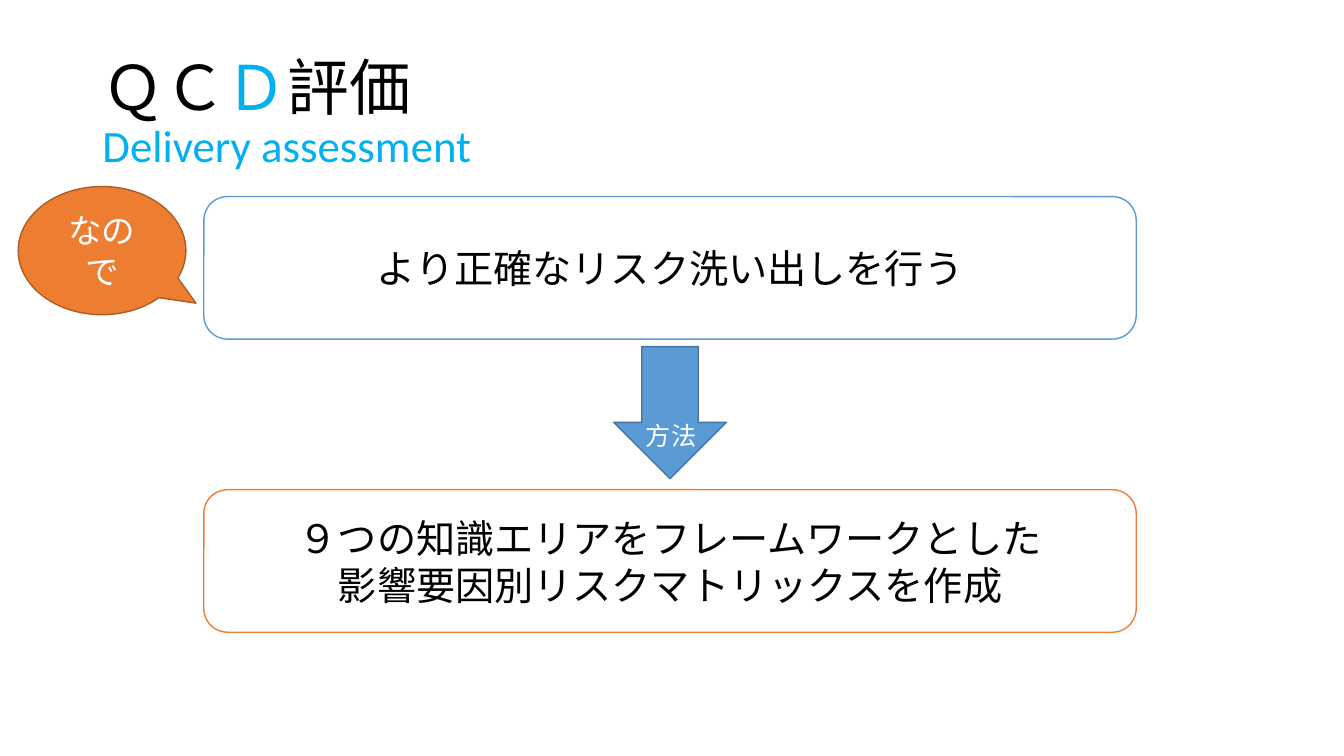
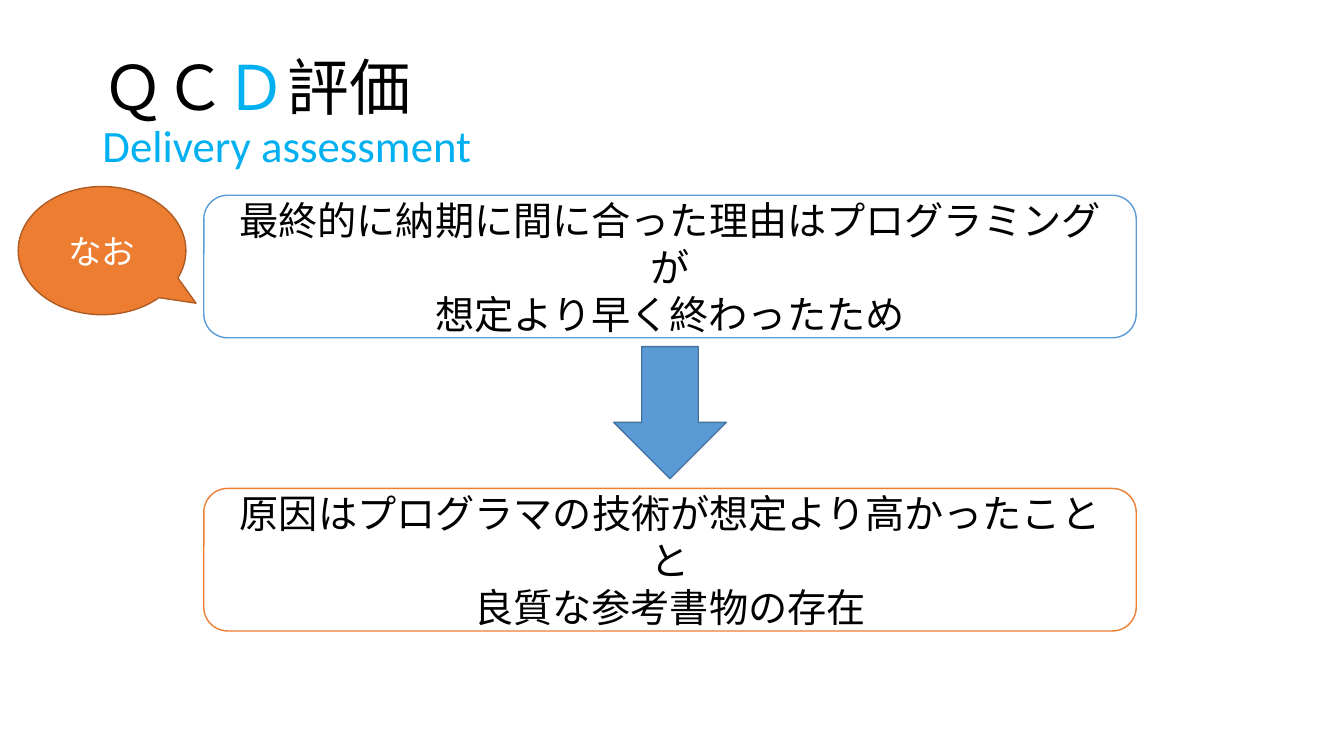
"""Build two QCD delivery assessment slides."""
from pptx import Presentation
from pptx.dml.color import RGBColor
from pptx.enum import shapes, text
from pptx.util import Pt

FONT = "Calibri"
HUES = {
    "white": "FFFFFF", "black": "000000", "cyan": "00B0F0",
    "blue": "5B9BD5", "navy": "43739E",
    "orange": "ED7D31", "rust": "AF5C24",
}
KIND = shapes.MSO_SHAPE
ALIGN = text.PP_ALIGN

HEAD = [("ＱＣ", 44, "black"), ("Ｄ", 44, "cyan"), ("評価", 44, "black"),
        None, ("Delivery assessment", 32, "cyan")]
PAGES = [
    {"callout": "なので", "top": 140.4, "arrow": "方法",
     "boxes": [["より正確なリスク洗い出しを行う"],
               ["９つの知識エリアをフレームワークとした",
                "影響要因別リスクマトリックスを作成"]]},
    {"callout": "なお", "top": 139.5, "arrow": None,
     "boxes": [["最終的に納期に間に合った理由はプログラミングが",
                "想定より早く終わったため"],
               ["原因はプログラマの技術が想定より高かったことと",
                "良質な参考書物の存在"]]},
]


def write(para, words, size, hue):
    run = para.add_run()
    run.text = words
    run.font.name = FONT
    run.font.size = Pt(size)
    run.font.color.rgb = RGBColor.from_string(HUES[hue])


def draw(slide, kind, area, fill, line, lines=(), size=28, hue="black"):
    shape = slide.shapes.add_shape(kind, *map(Pt, area))
    shape.shadow.inherit = False
    shape.fill.solid()
    shape.fill.fore_color.rgb = RGBColor.from_string(HUES[fill])
    shape.line.color.rgb = RGBColor.from_string(HUES[line])
    shape.line.width = Pt(1)
    frame = shape.text_frame
    frame.word_wrap = True
    frame.vertical_anchor = text.MSO_ANCHOR.MIDDLE
    for i, words in enumerate(lines):
        para = frame.add_paragraph() if i else frame.paragraphs[0]
        para.alignment = ALIGN.CENTER
        write(para, words, size, hue)
    return shape


deck = Presentation()
deck.slide_width, deck.slide_height = Pt(960), Pt(540)

for page in PAGES:
    slide = deck.slides.add_slide(deck.slide_layouts[5])

    title = slide.shapes.title
    title.left, title.top, title.width, title.height = map(Pt, (66, 29.5, 828, 104.4))
    title.text_frame.auto_size = text.MSO_AUTO_SIZE.NONE
    title.text_frame.vertical_anchor = text.MSO_ANCHOR.MIDDLE
    para = title.text_frame.paragraphs[0]
    para.alignment = ALIGN.LEFT
    para.line_spacing = 0.9
    for part in HEAD:
        if part:
            write(para, *part)
        else:
            para.add_line_break()

    for i, (lines, edge) in enumerate(zip(page["boxes"], ("blue", "orange"))):
        area = (145.6, page["top"] + i * 209.4, 666, 101.8)
        draw(slide, KIND.ROUNDED_RECTANGLE, area, "white", edge, lines)

    callout = draw(slide, KIND.OVAL_CALLOUT, (13, 133.2, 119.8, 91.6),
                   "orange", "rust", [page["callout"]], 24, "white")
    callout.adjustments[0], callout.adjustments[1] = 0.56, 0.41

    draw(slide, KIND.DOWN_ARROW, (438.3, 247.6, 80.6, 94.4), "blue", "navy")
    if page["arrow"]:
        label = slide.shapes.add_textbox(*map(Pt, (454.3, 296.6, 58.3, 29)))
        label.text_frame.word_wrap = True
        write(label.text_frame.paragraphs[0], page["arrow"], 18, "white")

deck.save("out.pptx")
